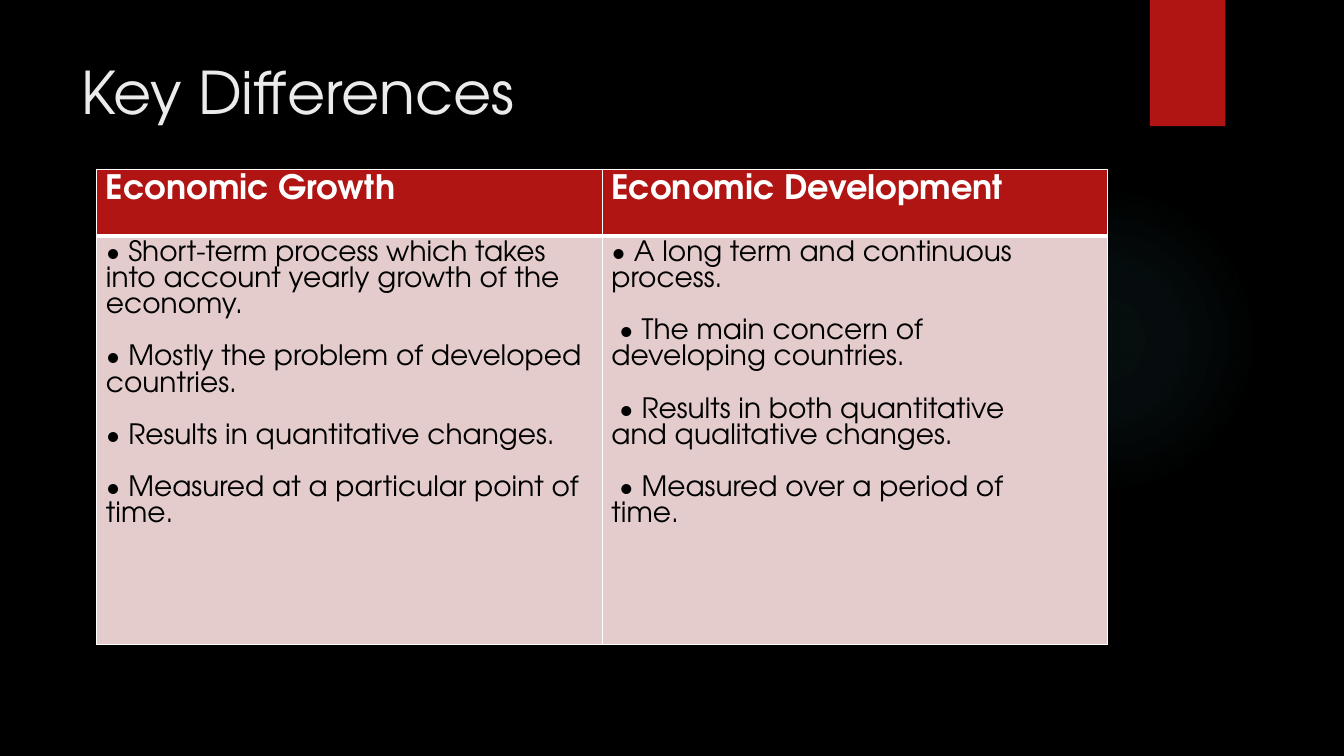
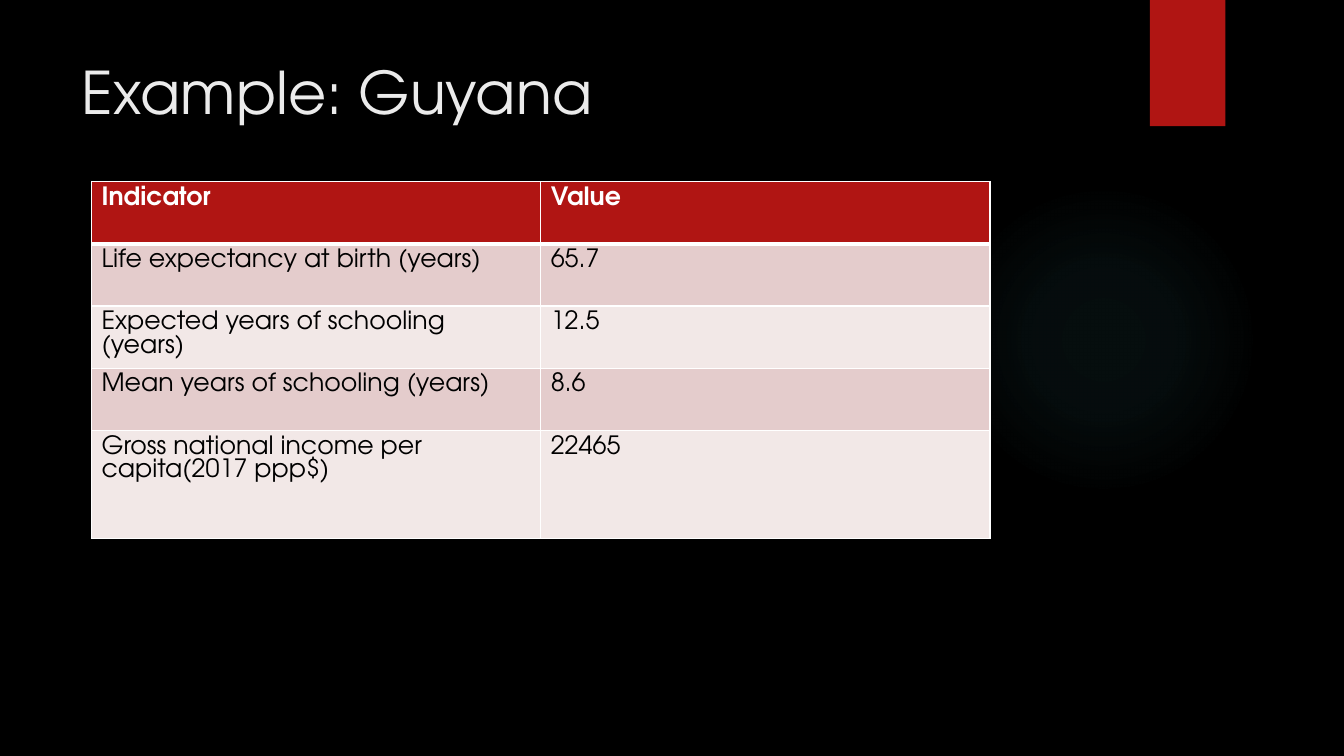
from dataclasses import dataclass

from pptx import Presentation
from pptx.dml.color import RGBColor
from pptx.enum.shapes import MSO_SHAPE as Preset
from pptx.enum.text import MSO_ANCHOR as Anchor, MSO_AUTO_SIZE as AutoSize
from pptx.oxml import parse_xml
from pptx.oxml.ns import nsdecls
from pptx.slide import Slide, SlideLayout
from pptx.table import _Cell as Cell
from pptx.text.text import TextFrame
from pptx.util import Cm, Pt

BLACK = RGBColor(0x00, 0x00, 0x00)
WHITE = RGBColor(0xFF, 0xFF, 0xFF)
TITLE_GRAY = RGBColor(0xEB, 0xEB, 0xEB)
RED = RGBColor(0xB0, 0x15, 0x13)
GLOW_TEAL = RGBColor(0x50, 0xB9, 0xC1)
BAND_FILLS = (RGBColor(0xE4, 0xCC, 0xCC), RGBColor(0xF2, 0xE8, 0xE7))
FONT = "TeX Gyre Adventor"
GLOW_STOPS = ((0, 7), (36, 6), (69, 0))
THIN, THICK = Pt(1), Pt(3)


@dataclass(frozen=True)
class TableSlide:
    """Content and measures of a slide with one table, in centimetres and points."""

    title: str
    left: float
    top: float
    column_width: float
    row_heights: tuple[float, ...]
    side_margin: float
    header_size: int
    body_size: int
    rows: tuple[tuple[str, str], ...]
    paragraph_gap: float = 0


TABLE_SLIDES = (
    TableSlide(
        title="Key Differences",
        left=2.44, top=4.27, column_width=12.74, row_heights=(1.68, 10.29),
        side_margin=0.23, header_size=24, body_size=20, paragraph_gap=18.6,
        rows=(
            ("Economic Growth", "Economic Development"),
            (
                "• Short-term process which takes into account yearly growth of the economy.\n"
                "• Mostly the problem of developed countries.\n"
                "• Results in quantitative changes.\n"
                "• Measured at a particular point of time.",
                "• A long term and continuous\vprocess.\n"
                " • The main concern of\vdeveloping countries.\n"
                " • Results in both quantitative\vand qualitative changes.\n"
                " • Measured over a period of\vtime.",
            ),
        ),
    ),
    TableSlide(
        title="Example: Guyana",
        left=2.31, top=4.57, column_width=11.32,
        row_heights=(1.57, 1.57, 1.57, 1.57, 2.72),
        side_margin=0.25, header_size=18, body_size=18,
        rows=(
            ("Indicator", "Value"),
            ("Life expectancy at birth (years)", "65.7"),
            ("Expected years of schooling (years)", "12.5"),
            ("Mean years of schooling (years)", "8.6"),
            ("Gross national income per capita(2017 ppp$)", "22465"),
        ),
    ),
)


def write_text(frame: TextFrame, text: str, *, size: float, color: RGBColor,
               bold: bool = False, gap: float = 0) -> None:
    """Write the text with one format, leaving a gap between its paragraphs."""
    frame.text = text
    for index, paragraph in enumerate(frame.paragraphs):
        if gap and index:
            paragraph.space_before = Pt(gap)
        for run in paragraph.runs:
            run.font.name = FONT
            run.font.size = Pt(size)
            run.font.bold = bold
            run.font.color.rgb = color


def set_borders(cell: Cell, widths: dict[str, int]) -> None:
    """Give the cell white borders with a width for each side."""
    properties = cell._tc.get_or_add_tcPr()
    for index, (side, width) in enumerate(widths.items()):
        properties.insert(index, parse_xml(
            f'<a:ln{side} {nsdecls("a")} w="{width}"><a:solidFill>'
            f'<a:srgbClr val="{WHITE}"/></a:solidFill></a:ln{side}>'))


def add_glow(slide: Slide):
    """Add the faint round glow on the right."""
    glow = slide.shapes.add_shape(Preset.OVAL, Cm(23.9), Cm(4.65), Cm(7.82), Cm(7.82))
    glow.shadow.inherit = False
    glow.line.fill.background()
    glow.fill.background()
    stops = "".join(
        f'<a:gs pos="{position * 1000}"><a:srgbClr val="{GLOW_TEAL}">'
        f'<a:alpha val="{alpha * 1000}"/></a:srgbClr></a:gs>'
        for position, alpha in GLOW_STOPS)
    gradient = parse_xml(
        f'<a:gradFill {nsdecls("a")}><a:gsLst>{stops}</a:gsLst><a:path path="circle">'
        '<a:fillToRect l="50000" t="50000" r="50000" b="50000"/></a:path></a:gradFill>')
    no_fill = glow.element.xpath("./p:spPr/a:noFill")[0]
    no_fill.getparent().replace(no_fill, gradient)
    return glow


def add_ribbon(slide: Slide):
    """Add the red ribbon that hangs from the top edge."""
    ribbon = slide.shapes.add_shape(Preset.RECTANGLE, Cm(28.98), 0, Cm(1.9), Cm(3.18))
    ribbon.shadow.inherit = False
    ribbon.fill.solid()
    ribbon.fill.fore_color.rgb = RED
    ribbon.line.fill.background()
    ribbon.element.xpath("./p:spPr/a:effectLst")[0].append(parse_xml(
        f'<a:outerShdw {nsdecls("a")} blurRad="{Pt(3)}" dist="{Pt(2)}" dir="5400000">'
        f'<a:srgbClr val="{BLACK}"><a:alpha val="45000"/></a:srgbClr></a:outerShdw>'))
    return ribbon


def style_layout(layout: SlideLayout, slide: Slide) -> None:
    """Set the background, decoration and title place that all slides share."""
    background = layout.background.fill
    background.solid()
    background.fore_color.rgb = BLACK
    for index, shape in enumerate((add_glow(slide), add_ribbon(slide))):
        layout.shapes.element.insert(2 + index, shape.element)
    title = layout.placeholders[0]
    title.left, title.top, title.width, title.height = Cm(1.8), Cm(1.27), Cm(26.14), Cm(3.89)


def add_title(slide: Slide, text: str) -> None:
    """Fill and format the title placeholder."""
    frame = slide.shapes.title.text_frame
    write_text(frame, text, size=42, color=TITLE_GRAY)
    frame.word_wrap = True
    frame.auto_size = AutoSize.NONE
    frame.vertical_anchor = Anchor.TOP
    frame.paragraphs[0].alignment = 1


def add_table(slide: Slide, content: TableSlide) -> None:
    """Add the table with a red header and banded rows."""
    column_count = len(content.rows[0])
    frame = slide.shapes.add_table(
        len(content.rows), column_count, Cm(content.left), Cm(content.top),
        Cm(content.column_width * column_count), Cm(sum(content.row_heights)))
    table = frame.table
    table.horz_banding = False
    for column in table.columns:
        column.width = Cm(content.column_width)
    for row_index, texts in enumerate(content.rows):
        table.rows[row_index].height = Cm(content.row_heights[row_index])
        header = row_index == 0
        for column_index, text in enumerate(texts):
            cell = table.cell(row_index, column_index)
            cell.margin_left = cell.margin_right = Cm(content.side_margin)
            cell.fill.solid()
            cell.fill.fore_color.rgb = RED if header else BAND_FILLS[(row_index - 1) % 2]
            set_borders(cell, {
                "L": THIN, "R": THIN,
                "T": THICK if row_index == 1 else THIN,
                "B": THICK if header else THIN,
            })
            write_text(
                cell.text_frame, text, bold=header, gap=content.paragraph_gap,
                size=content.header_size if header else content.body_size,
                color=WHITE if header else BLACK)


def main() -> None:
    """Build and save the presentation."""
    presentation = Presentation()
    presentation.slide_width, presentation.slide_height = Cm(33.87), Cm(19.05)
    layout = presentation.slide_layouts[5]
    slides = [presentation.slides.add_slide(layout) for _ in TABLE_SLIDES]
    style_layout(layout, slides[0])
    for slide, content in zip(slides, TABLE_SLIDES):
        add_title(slide, content.title)
        add_table(slide, content)
    presentation.save("out.pptx")


if __name__ == "__main__":
    main()
